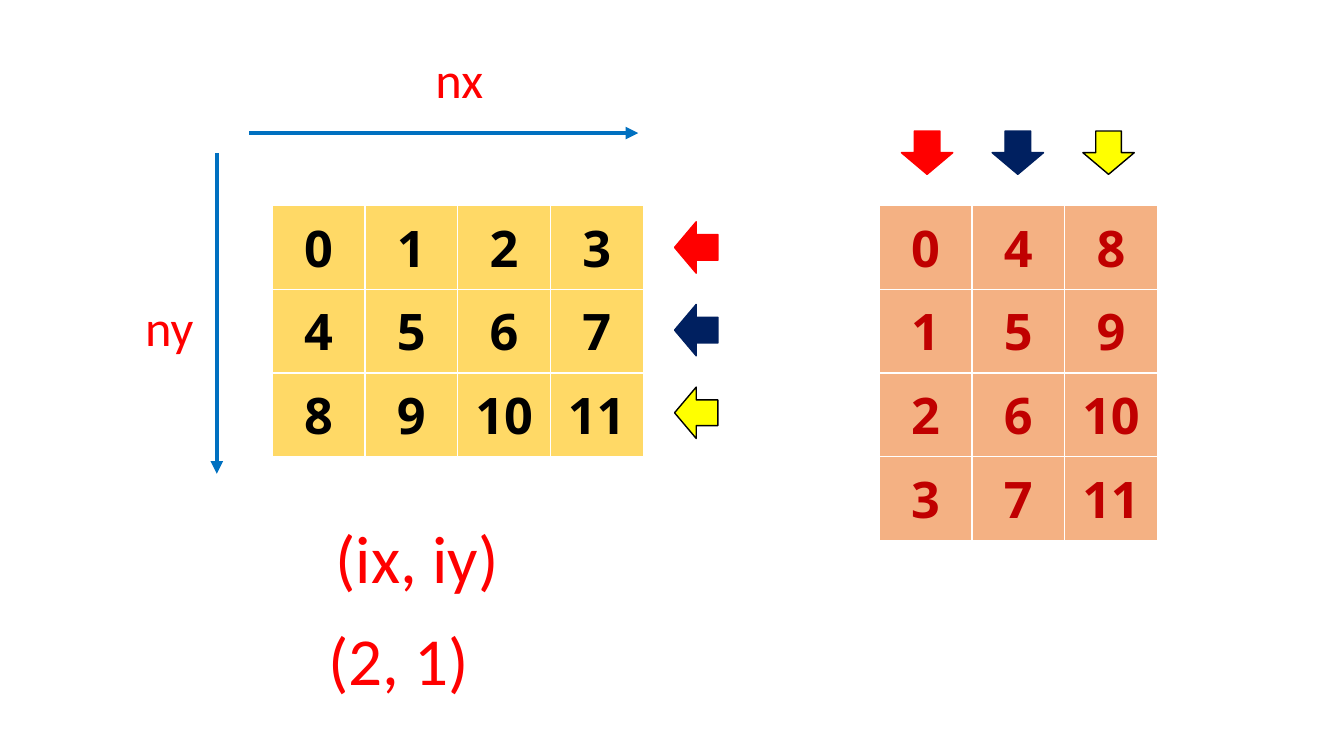
from lxml import etree
from pptx import Presentation
from pptx.dml.color import RGBColor
from pptx.enum.shapes import MSO_CONNECTOR, MSO_SHAPE
from pptx.enum.text import MSO_ANCHOR, MSO_AUTO_SIZE, PP_ALIGN
from pptx.oxml.ns import qn
from pptx.util import Pt

PX = 9144
COLORS = {
    "gold": "FFD966", "orange": "F4B183", "black": "000000", "crimson": "C00000",
    "red": "FF0000", "navy": "002060", "yellow": "FFFF00", "blue": "0070C0",
}
ROW_MAJOR = [list(range(start, start + 4)) for start in (0, 4, 8)]
COLUMN_MAJOR = list(zip(*ROW_MAJOR))
CELL_WIDTH, CELL_HEIGHT, TABLE_TOP = 92, 83, 204
TABLES = [
    (ROW_MAJOR, 270, "gold", "black"),
    (COLUMN_MAJOR, 872, "orange", "crimson"),
]
LABELS = [
    ("nx", 422, 43, 81, 73, 36),
    ("ny", 134, 289, 81, 73, 36),
    ("(ix, iy)", 323, 507, 233, 91, 48),
    ("(2, 1)", 316, 608, 233, 91, 48),
]
AXES = [(247, 132, 633, 132), (215, 152, 215, 470)]
MARKERS = [("red", "red"), ("navy", "navy"), ("yellow", "black")]
MARKER_WIDTH, MARKER_HEIGHT = 51, 43
MARKER_GROUPS = [
    (665, 224, 0, 82, 90),
    (894, 130, 90, 0, 0),
]


def emu(*lengths):
    return [length * PX for length in lengths]


def color(name):
    return RGBColor.from_string(COLORS[name])


def apply(target, values):
    for name, value in values.items():
        setattr(target, name, value)


def write(paragraph, text, color_name, **font_values):
    run = paragraph.add_run()
    run.text = text
    apply(run.font, font_values)
    run.font.color.rgb = color(color_name)


def add_grid(slide, values, left, fill, ink):
    rows, columns = len(values), len(values[0])
    frame = slide.shapes.add_table(
        rows, columns,
        *emu(left, TABLE_TOP, columns * CELL_WIDTH, rows * CELL_HEIGHT))
    frame.table.horz_banding = False
    for row_index, row in enumerate(values):
        for column_index, value in enumerate(row):
            cell = frame.table.cell(row_index, column_index)
            cell.fill.solid()
            cell.fill.fore_color.rgb = color(fill)
            cell.vertical_anchor = MSO_ANCHOR.MIDDLE
            paragraph = cell.text_frame.paragraphs[0]
            paragraph.alignment = PP_ALIGN.CENTER
            write(paragraph, str(value), ink, name="Open Sans", size=Pt(36), bold=True)


def add_label(slide, text, left, top, width, height, size):
    text_frame = slide.shapes.add_textbox(*emu(left, top, width, height)).text_frame
    apply(text_frame, {"word_wrap": True, "auto_size": MSO_AUTO_SIZE.SHAPE_TO_FIT_TEXT})
    write(text_frame.paragraphs[0], text, "red", name="Calibri", size=Pt(size))


def add_axis(slide, ends):
    connector = slide.shapes.add_connector(MSO_CONNECTOR.STRAIGHT, *emu(*ends))
    connector.line.color.rgb = color("blue")
    connector.line.width = Pt(3)
    properties = connector.line._get_or_add_ln()
    etree.SubElement(properties, qn("a:tailEnd"), type="triangle")
    etree.SubElement(properties.getparent(), qn("a:effectLst"))


def add_marker(slide, left, top, rotation, fill, outline):
    shape = slide.shapes.add_shape(
        MSO_SHAPE.DOWN_ARROW, *emu(left, top, MARKER_WIDTH, MARKER_HEIGHT))
    shape.rotation = rotation
    shape.shadow.inherit = False
    shape.fill.solid()
    shape.fill.fore_color.rgb = color(fill)
    shape.line.color.rgb = color(outline)
    shape.line.width = Pt(1)


def main():
    presentation = Presentation()
    apply(presentation, {"slide_width": 1333 * PX, "slide_height": 750 * PX})
    slide = presentation.slides.add_slide(presentation.slide_layouts[6])
    for table in TABLES:
        add_grid(slide, *table)
    for label in LABELS:
        add_label(slide, *label)
    for ends in AXES:
        add_axis(slide, ends)
    for left, top, step_x, step_y, rotation in MARKER_GROUPS:
        for index, (fill, outline) in enumerate(MARKERS):
            add_marker(slide, left + index * step_x, top + index * step_y,
                       rotation, fill, outline)
    presentation.save("out.pptx")


if __name__ == "__main__":
    main()
